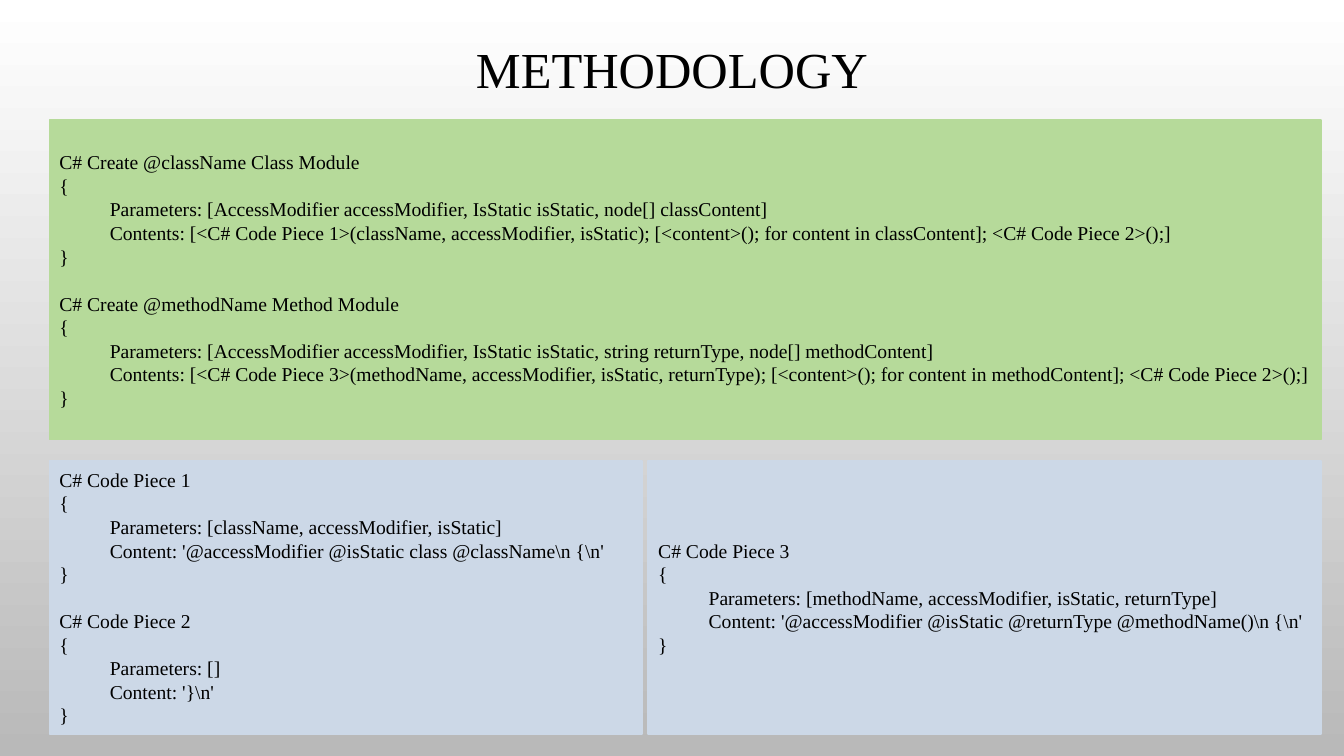
from dataclasses import dataclass

from pptx import Presentation
from pptx.dml.color import RGBColor as Color
from pptx.enum.shapes import MSO_SHAPE as Shape
from pptx.enum.text import MSO_ANCHOR as Anchor, PP_ALIGN as Align
from pptx.util import Inches, Pt


@dataclass(frozen=True)
class Theme:
    """Colours, type sizes and spacing of the slide."""
    font: str = "Times New Roman"
    ink: str = "000000"
    module_fill: str = "B6DA9A"
    piece_fill: str = "CCD8E7"
    background: tuple = ("FFFFFF", "B9B9B9")
    title_size: float = 36
    code_size: float = 14
    code_line: float = 16.8
    outline: float = 1.25
    indent: float = 0.5


THEME = Theme()
WIDTH, HEIGHT = 13.33, 7.5
LEFT, RIGHT, GUTTER = 0.49, 13.10, 0.06
PIECE_WIDTH = 5.88
MODULE_ROW = (1.19, 3.17)
PIECE_ROW = (4.57, 2.71)

MODULES = [
    ("C# Create @className Class Module",
     "Parameters: [AccessModifier accessModifier, IsStatic isStatic, node[] classContent]",
     "Contents: [<C# Code Piece 1>(className, accessModifier, isStatic); "
     "[<content>(); for content in classContent]; <C# Code Piece 2>();]"),
    ("C# Create @methodName Method Module",
     "Parameters: [AccessModifier accessModifier, IsStatic isStatic, string returnType, "
     "node[] methodContent]",
     "Contents: [<C# Code Piece 3>(methodName, accessModifier, isStatic, returnType); "
     "[<content>(); for content in methodContent]; <C# Code Piece 2>();]"),
]
CLASS_PIECES = [
    ("C# Code Piece 1",
     "Parameters: [className, accessModifier, isStatic]",
     r"Content: '@accessModifier @isStatic class @className\n {\n'"),
    ("C# Code Piece 2", "Parameters: []", r"Content: '}\n'"),
]
METHOD_PIECES = [
    ("C# Code Piece 3",
     "Parameters: [methodName, accessModifier, isStatic, returnType]",
     r"Content: '@accessModifier @isStatic @returnType @methodName()\n {\n'"),
]


def write(paragraph, text, *, size, align=Align.LEFT, spacing=None, before=0, indent=0):
    """Write one formatted line of text into a paragraph."""
    paragraph.alignment = align
    paragraph.line_spacing = spacing
    paragraph.space_before = Pt(before)
    if indent:
        properties = paragraph._p.get_or_add_pPr()
        properties.set("marL", str(Inches(indent)))
        properties.set("indent", "0")
    run = paragraph.add_run()
    run.text = text
    run.font.name = THEME.font
    run.font.size = Pt(size)
    run.font.color.rgb = Color.from_string(THEME.ink)


def paint_background(slide):
    """Fill the slide with a gradient running from top to bottom."""
    fill = slide.background.fill
    fill.gradient()
    fill.gradient_angle = 270
    for stop, colour in zip(fill.gradient_stops, THEME.background):
        stop.color.rgb = Color.from_string(colour)


def add_title(slide, text):
    """Add the centred slide title."""
    box = slide.shapes.add_textbox(
        Inches(1), Inches(0.23), Inches(WIDTH - 2), Inches(0.97))
    frame = box.text_frame
    frame.word_wrap = True
    frame.vertical_anchor = Anchor.MIDDLE
    write(frame.paragraphs[0], text, size=THEME.title_size,
          align=Align.CENTER, spacing=0.9)


def add_code_panel(slide, left, right, row, colour, blocks):
    """Add a coloured panel listing blocks of a heading and a braced body."""
    top, height = row
    panel = slide.shapes.add_shape(
        Shape.RECTANGLE, Inches(left), Inches(top), Inches(right - left), Inches(height))
    panel.shadow.inherit = False
    panel.fill.solid()
    panel.fill.fore_color.rgb = Color.from_string(colour)
    panel.line.color.rgb = Color.from_string(colour)
    panel.line.width = Pt(THEME.outline)
    frame = panel.text_frame
    frame.word_wrap = True
    frame.vertical_anchor = Anchor.MIDDLE
    paragraph = frame.paragraphs[0]
    for block_index, (heading, *body) in enumerate(blocks):
        for line_index, line in enumerate([heading, "{", *body, "}"]):
            if block_index or line_index:
                paragraph = frame.add_paragraph()
            starts_block = block_index and not line_index
            write(paragraph, line, size=THEME.code_size,
                  before=THEME.code_line if starts_block else 0,
                  indent=THEME.indent if line in body else 0)


def main():
    """Build the methodology slide and save it."""
    presentation = Presentation()
    presentation.slide_width = Inches(WIDTH)
    presentation.slide_height = Inches(HEIGHT)
    slide = presentation.slides.add_slide(presentation.slide_layouts[6])
    split = LEFT + PIECE_WIDTH
    paint_background(slide)
    add_code_panel(slide, LEFT, RIGHT, MODULE_ROW, THEME.module_fill, MODULES)
    add_title(slide, "METHODOLOGY")
    add_code_panel(slide, LEFT, split, PIECE_ROW, THEME.piece_fill, CLASS_PIECES)
    add_code_panel(slide, split + GUTTER, RIGHT, PIECE_ROW, THEME.piece_fill, METHOD_PIECES)
    presentation.save("out.pptx")


if __name__ == "__main__":
    main()
